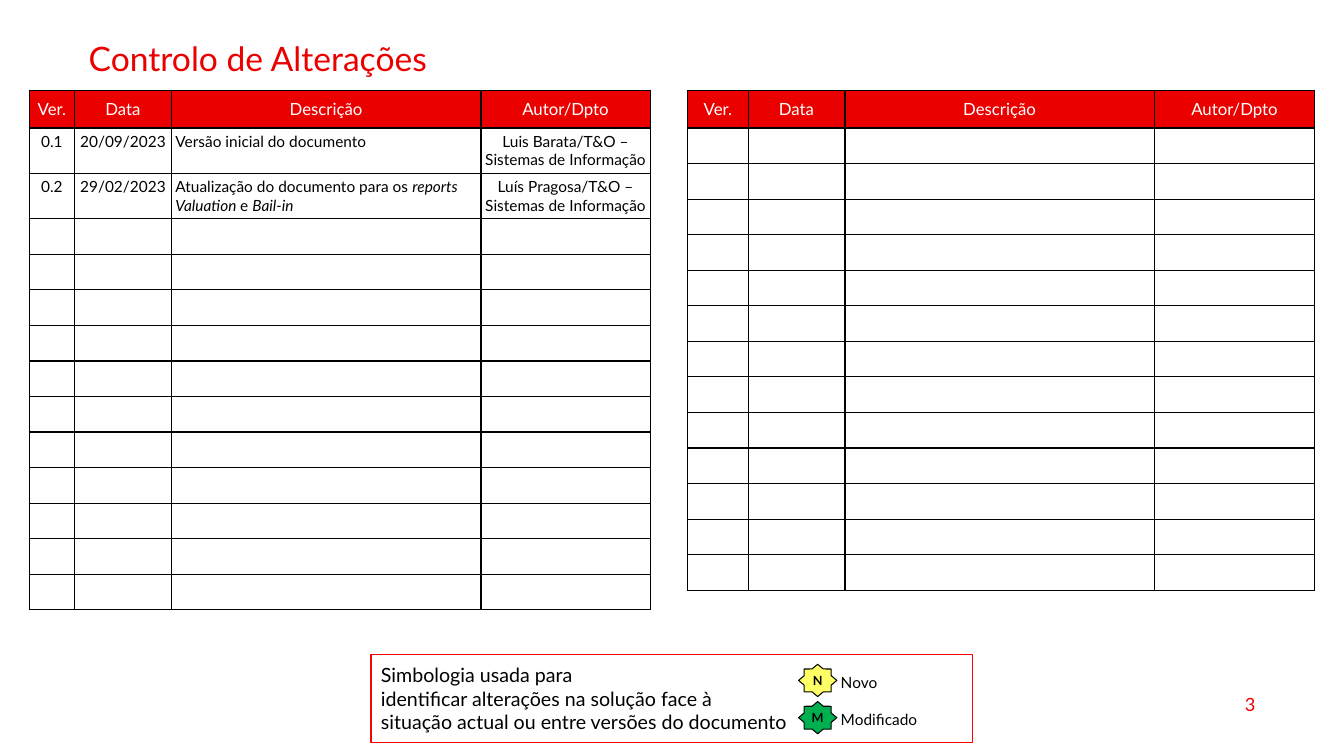
from lxml import etree
from pptx import Presentation
from pptx.dml.color import RGBColor
from pptx.enum.shapes import MSO_SHAPE as Preset
from pptx.enum.text import MSO_ANCHOR as Anchor, MSO_AUTO_SIZE as AutoSize, PP_ALIGN as Align
from pptx.oxml.ns import qn
from pptx.util import Inches, Pt

COLORS = {"red": "EB0000", "frame": "FF0000", "black": "000000",
          "white": "FFFFFF", "green": "00B050", "yellow": "FFFF66"}
FONT = "Lato"
HEADERS = ["Ver.", "Data", "Descrição", "Autor/Dpto"]
# A description is a list of (text, italic) runs.
CHANGES = [
    ["0.1", "20/09/2023", [("Versão inicial do documento", False)],
     "Luis Barata/T&O – Sistemas de Informação"],
    ["0.2", "29/02/2023",
     [("Atualização do documento para os ", False), ("reports Valuation ", True),
      ("e ", False), ("Bail-in", True)],
     "Luís Pragosa/T&O – Sistemas de Informação"],
]
TABLE_TOP = 0.9
HEADER_HEIGHT = 0.37
BODY_ROWS = 13
ROW_HEIGHT = 4.59 / BODY_ROWS
FILLED_ROW_HEIGHT = 0.45


def color(name):
    return RGBColor.from_string(COLORS[name])


def set_format(target, values):
    for name, value in values.items():
        setattr(target, name, value)


def add_run(paragraph, text, size, color_name="black", **values):
    run = paragraph.add_run()
    run.text = text
    set_format(run.font, {"name": FONT, "size": Pt(size), **values})
    run.font.color.rgb = color(color_name)


def write_lines(frame, lines, size, color_name="black", align=Align.LEFT, gap=0, **values):
    """Write one paragraph per line, with gap points between paragraphs."""
    for index, line in enumerate(lines):
        paragraph = frame.add_paragraph() if index else frame.paragraphs[0]
        paragraph.alignment = align
        if index and gap:
            paragraph.space_before = Pt(gap)
        add_run(paragraph, line, size, color_name, **values)


def add_text(shapes, box, lines, size, anchor=Anchor.TOP, **values):
    frame = shapes.add_textbox(*map(Inches, box)).text_frame
    set_format(frame, {"word_wrap": True, "vertical_anchor": anchor})
    write_lines(frame, lines, size, **values)


def add_outlined_shape(shapes, preset, box, line_name, fill_name=None):
    shape = shapes.add_shape(preset, *map(Inches, box))
    shape.shadow.inherit = False
    if fill_name:
        shape.fill.solid()
        shape.fill.fore_color.rgb = color(fill_name)
    else:
        shape.fill.background()
    shape.line.color.rgb = color(line_name)
    shape.line.width = Pt(0.75)
    shape.text_frame.vertical_anchor = Anchor.MIDDLE
    return shape


def add_star(shapes, top, letter, fill_name):
    star = add_outlined_shape(shapes, Preset.STAR_8_POINT, (7.92, top, 0.38, 0.32),
                              "black", fill_name)
    star.adjustments[0] = 0.383
    star.text_frame.word_wrap = False
    write_lines(star.text_frame, [letter], 9, align=Align.CENTER, bold=True)


def add_borders(cell):
    properties = cell._tc.get_or_add_tcPr()
    for side in ("a:lnL", "a:lnR", "a:lnT", "a:lnB"):
        line = etree.SubElement(properties, qn(side), w=str(Pt(1)))
        fill = etree.SubElement(line, qn("a:solidFill"))
        etree.SubElement(fill, qn("a:srgbClr"), val=COLORS["black"])


def fill_cell(cell, content, is_header, align):
    margins = ("margin_left", "margin_right", "margin_top", "margin_bottom")
    set_format(cell, dict.fromkeys(margins, Inches(0.04)))
    cell.vertical_anchor = Anchor.MIDDLE if is_header else Anchor.TOP
    add_borders(cell)
    if is_header:
        cell.fill.solid()
        cell.fill.fore_color.rgb = color("red")
    else:
        cell.fill.background()
    paragraph = cell.text_frame.paragraphs[0]
    paragraph.alignment = align
    size, color_name = (12, "white") if is_header else (11, "black")
    runs = [(content, False)] if isinstance(content, str) else content
    for text, italic in runs:
        add_run(paragraph, text, size, color_name, italic=italic)
    if not runs:
        etree.SubElement(paragraph._p, qn("a:endParaRPr"), sz="1100")


def add_change_table(slide, left, widths, changes):
    blank_rows = BODY_ROWS - len(changes)
    rows = [HEADERS] + changes + [[[]] * len(HEADERS)] * blank_rows
    heights = ([HEADER_HEIGHT] + [FILLED_ROW_HEIGHT] * len(changes)
               + [ROW_HEIGHT] * blank_rows)
    box = (left, TABLE_TOP, sum(widths), sum(heights))
    table = slide.shapes.add_table(len(rows), len(widths), *map(Inches, box)).table
    table.horz_banding = False
    for column, width in zip(table.columns, widths):
        column.width = Inches(width)
    for row_index, (contents, height) in enumerate(zip(rows, heights)):
        table.rows[row_index].height = Inches(height)
        is_header = row_index == 0
        for column_index, content in enumerate(contents):
            is_description = HEADERS[column_index] == "Descrição" and not is_header
            fill_cell(table.cell(row_index, column_index), content, is_header,
                      Align.LEFT if is_description else Align.CENTER)


def add_title(slide, text):
    title = slide.shapes.title
    set_format(title, {"left": Inches(0.78), "top": Inches(0.37),
                       "width": Inches(11.77), "height": Inches(0.33)})
    frame = title.text_frame
    set_format(frame, {"word_wrap": True, "vertical_anchor": Anchor.TOP,
                       "auto_size": AutoSize.NONE})
    write_lines(frame, [text], 24, "red")
    frame.paragraphs[0].line_spacing = 0.9


def add_legend(slide):
    shapes = slide.shapes.add_group_shape().shapes
    frame = add_outlined_shape(shapes, Preset.RECTANGLE, (3.68, 6.49, 5.97, 0.88), "frame")
    frame.text_frame.word_wrap = True
    write_lines(frame.text_frame, ["Simbologia usada para",
                                   "identificar alterações na solução face à",
                                   "situação actual ou entre versões do documento"], 14)
    add_text(shapes, (8.24, 6.63, 1.09, 0.66), ["Novo", "Modificado"], 11, gap=13.2)
    add_star(shapes, 6.96, "M", "green")
    add_star(shapes, 6.59, "N", "yellow")


def main():
    presentation = Presentation()
    presentation.slide_width = Inches(13.33)
    presentation.slide_height = Inches(7.5)
    slide = presentation.slides.add_slide(presentation.slide_layouts[5])
    add_title(slide, "Controlo de Alterações")
    add_change_table(slide, 0.29, [0.45, 0.96, 3.07, 1.68], CHANGES)
    add_legend(slide)
    add_text(slide.shapes, (9.55, 6.79, 3, 0.4), ["3"], 13, Anchor.MIDDLE,
             color_name="red", align=Align.RIGHT)
    add_change_table(slide, 6.82, [0.6, 0.96, 3.07, 1.59], [])
    presentation.save("out.pptx")


if __name__ == "__main__":
    main()
